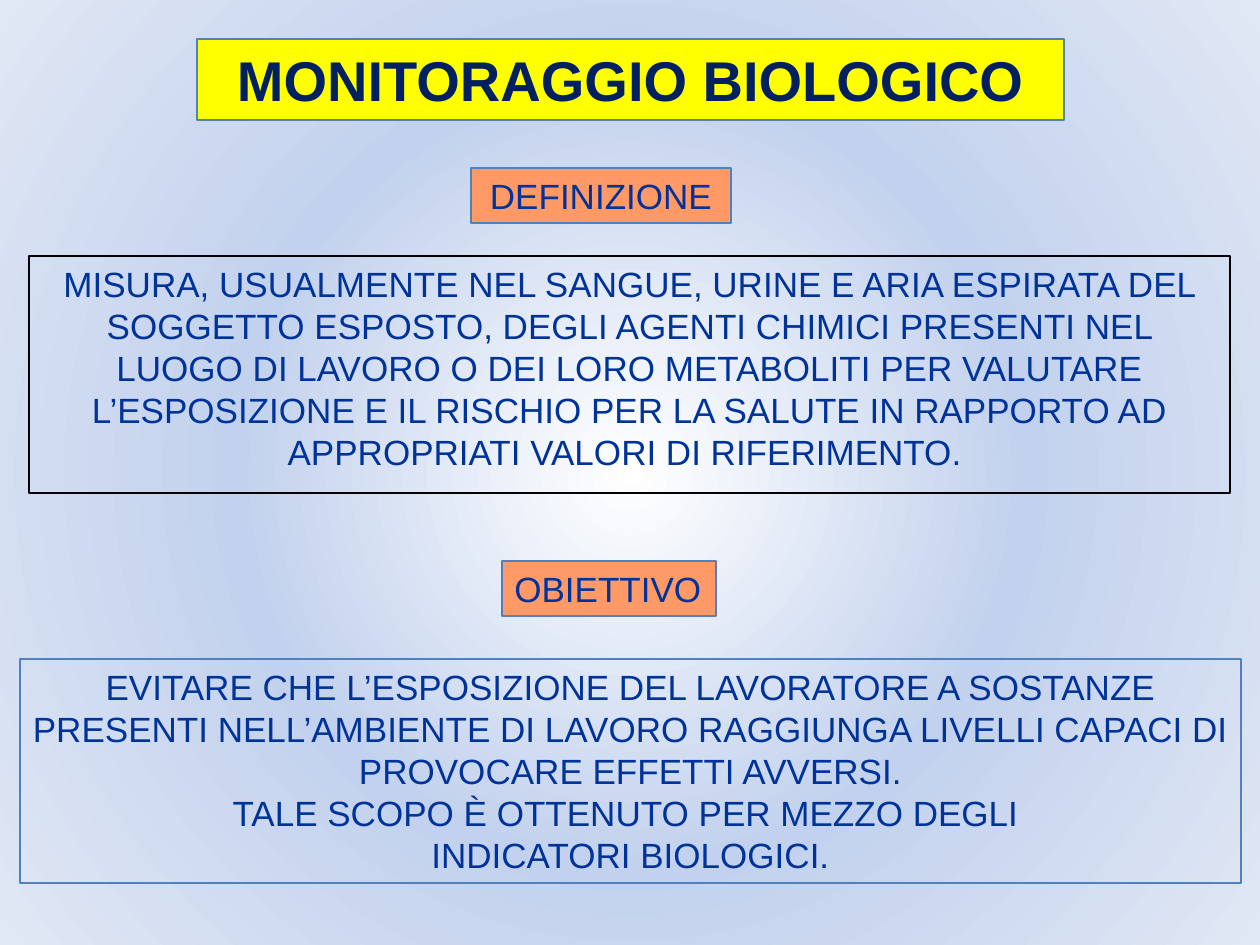
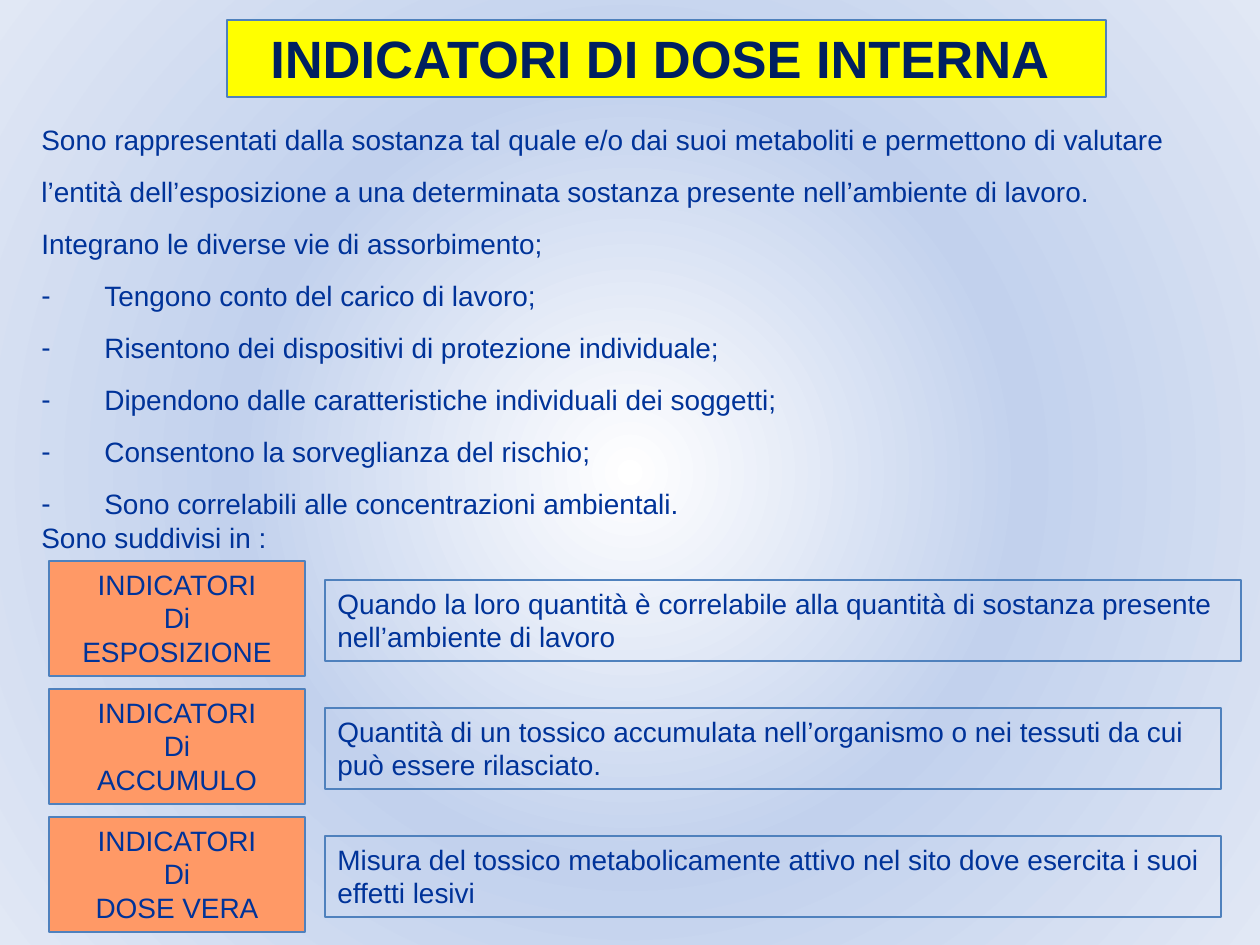
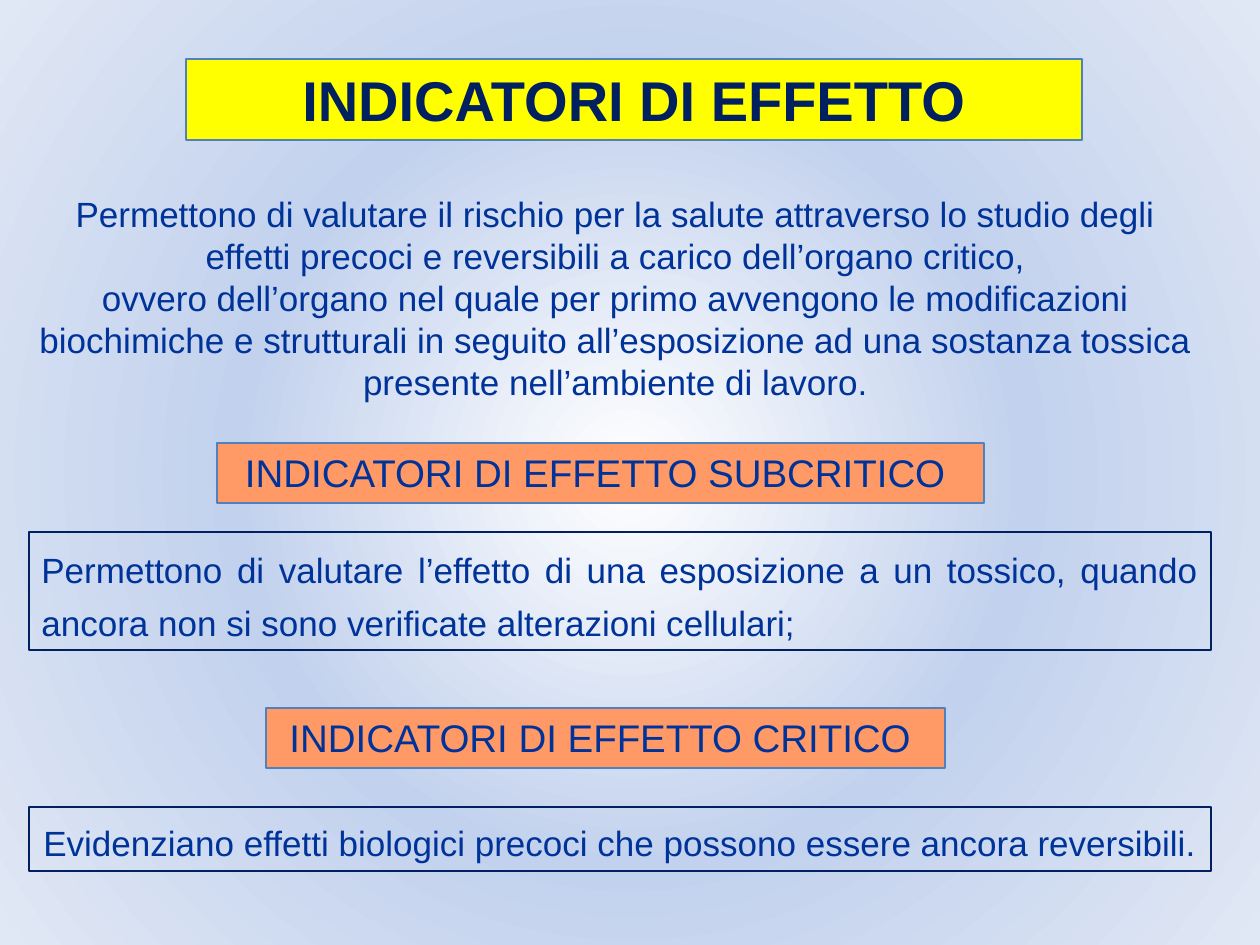
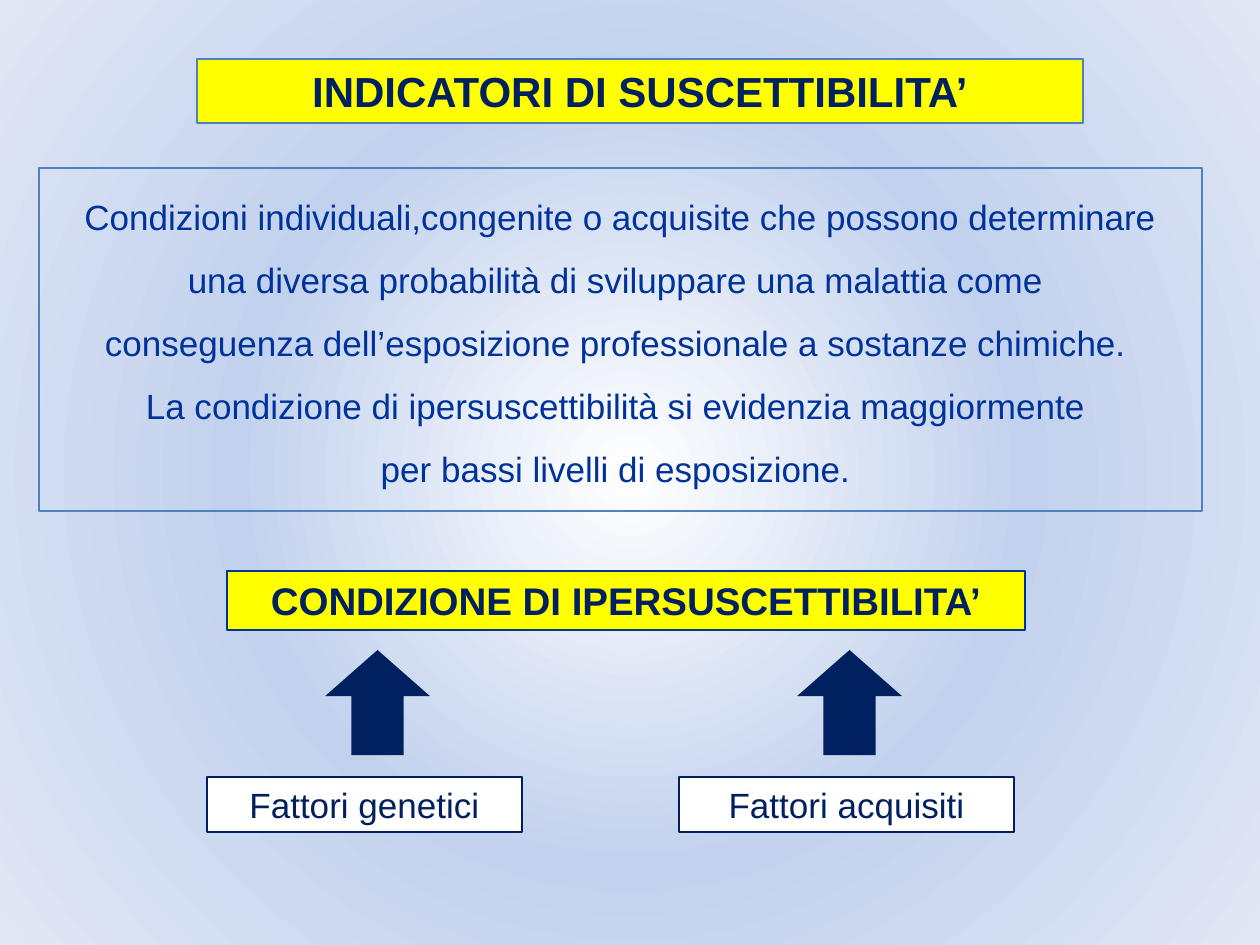
from collections import namedtuple

from pptx import Presentation
from pptx import util as u
from pptx.dml.color import RGBColor
from pptx.enum import shapes, text
from pptx.oxml import parse_xml
from pptx.oxml.ns import nsdecls

PX = 914400 / 126
SLIDE_WIDTH, SLIDE_HEIGHT = 1260, 945

FONT = "Arial"
YELLOW = RGBColor(0xFF, 0xFF, 0x00)
ORANGE = RGBColor(0xFF, 0x99, 0x66)
WHITE = RGBColor(0xFF, 0xFF, 0xFF)
BLACK = RGBColor(0x00, 0x00, 0x00)
NAVY = RGBColor(0x00, 0x20, 0x60)
BLUE = RGBColor(0x00, 0x33, 0x99)
STEEL = RGBColor(0x4F, 0x81, 0xBD)

LEFT, CENTER, JUSTIFY = text.PP_ALIGN.LEFT, text.PP_ALIGN.CENTER, text.PP_ALIGN.JUSTIFY

BACKGROUND = f"""
<a:gradFill {nsdecls("a")} rotWithShape="1">
  <a:gsLst>
    <a:gs pos="0"><a:srgbClr val="FFFFFF"><a:alpha val="35000"/></a:srgbClr></a:gs>
    <a:gs pos="50000"><a:srgbClr val="C2D1ED"/></a:gs>
    <a:gs pos="100000"><a:srgbClr val="E1E8F5"/></a:gs>
  </a:gsLst>
  <a:path path="circle"><a:fillToRect l="50000" t="50000" r="50000" b="50000"/></a:path>
</a:gradFill>"""

Box = namedtuple("Box", "left top width height")


def emu(pixels):
    return u.Emu(round(pixels * PX))


def inside(box, left, top, width, height):
    """Box at an offset from the corner of another box."""
    return Box(box.left + left, box.top + top, width, height)


def paint_background(presentation):
    master = presentation.slide_master
    master.background.fill.solid()
    properties = master.element.xpath(".//p:bgPr")[0]
    properties.replace(properties[0], parse_xml(BACKGROUND))


def add_bullet(paragraph, character, size):
    """Hang the paragraph on a bullet of the same font and size as its text."""
    properties = paragraph._p.get_or_add_pPr()
    indent = u.Inches(0.5)
    properties.set("marL", str(indent))
    properties.set("indent", str(-indent))
    properties.append(parse_xml(f'<a:buFont {nsdecls("a")} typeface="{FONT}"/>'))
    properties.append(parse_xml(f'<a:buChar {nsdecls("a")} char="{character}"/>'))
    paragraph._p.append(parse_xml(f'<a:endParaRPr {nsdecls("a")} sz="{size * 100}"/>'))


def write(frame, lines, size=20, color=BLUE, bold=False, align=CENTER, spacing=None,
          wrap=True, grow=True):
    """Fill a text frame, one paragraph for each line."""
    frame.word_wrap = wrap
    frame.auto_size = (text.MSO_AUTO_SIZE.SHAPE_TO_FIT_TEXT if grow
                       else text.MSO_AUTO_SIZE.NONE)
    frame.vertical_anchor = text.MSO_ANCHOR.TOP
    for index, line in enumerate(lines):
        paragraph = frame.add_paragraph() if index else frame.paragraphs[0]
        paragraph.alignment = align
        if spacing:
            paragraph.line_spacing = spacing
        run = paragraph.add_run()
        run.text = line
        run.font.name = FONT
        run.font.size = u.Pt(size)
        run.font.bold = bold
        run.font.color.rgb = color


def add_preset(slide, kind, box, fill=None, line=None):
    shape = slide.shapes.add_shape(kind, *map(emu, box))
    shape.shadow.inherit = False
    if fill is None:
        shape.fill.background()
    else:
        shape.fill.solid()
        shape.fill.fore_color.rgb = fill
    if line is None:
        shape.line.fill.background()
    else:
        shape.line.color.rgb = line
        shape.line.width = u.Pt(0.75)
    return shape


def add_panel(slide, box, lines, fill=None, line=STEEL, **text_format):
    shape = add_preset(slide, shapes.MSO_SHAPE.RECTANGLE, box, fill, line)
    write(shape.text_frame, lines, **text_format)


def add_plain_text(slide, box, lines, **text_format):
    frame = slide.shapes.add_textbox(*map(emu, box)).text_frame
    write(frame, lines, **text_format)
    return frame


def add_title(slide, box, title, size=32, line=STEEL):
    add_panel(slide, box, [title], YELLOW, line, size=size, color=NAVY, bold=True)


def add_section(slide, box, heading, heading_box, heading_format, body_top, lines, **body_format):
    """Orange heading above an outlined body that reaches the foot of the box."""
    body = inside(box, 0, body_top, box.width, box.height - body_top)
    add_panel(slide, body, lines, **body_format)
    add_panel(slide, inside(box, *heading_box), [heading], ORANGE, **heading_format)


def add_indicator_row(slide, box, kind, description):
    label_width, gap, inset = 256, 20, 19
    add_panel(slide, inside(box, 0, 0, label_width, box.height),
              ["INDICATORI", "Di", kind], ORANGE, size=16)
    description_left = label_width + gap
    add_panel(slide, inside(box, description_left, inset, box.width - description_left, 81),
              [description], size=16, align=LEFT)


def add_factor(slide, box, label):
    """Labelled cause with an arrow rising from it."""
    arrow = add_preset(slide, shapes.MSO_SHAPE.UP_ARROW, inside(box, 118, 0, 105, 105), NAVY)
    arrow.adjustments[0], arrow.adjustments[1] = 0.5, 0.44
    label_top = 127
    add_panel(slide, inside(box, 0, label_top, box.width, box.height - label_top),
              [label], WHITE, NAVY, color=NAVY)


def build_monitoring(slide):
    add_title(slide, Box(197, 39, 867, 81), "MONITORAGGIO BIOLOGICO")
    add_section(
        slide, Box(29, 168, 1201, 325), "DEFINIZIONE", (442, 0, 260, 55), {}, 88,
        ["MISURA, USUALMENTE NEL SANGUE, URINE E ARIA ESPIRATA DEL SOGGETTO ESPOSTO, "
         "DEGLI AGENTI CHIMICI PRESENTI NEL LUOGO DI LAVORO O DEI LORO METABOLITI PER "
         "VALUTARE L’ESPOSIZIONE E IL RISCHIO PER LA SALUTE IN RAPPORTO AD APPROPRIATI "
         "VALORI DI RIFERIMENTO. "],
        line=BLACK, grow=False)
    add_section(
        slide, Box(20, 561, 1221, 322), "OBIETTIVO", (482, 0, 214, 55),
        {"align": LEFT, "wrap": False}, 98,
        ["EVITARE CHE L’ESPOSIZIONE DEL LAVORATORE A SOSTANZE PRESENTI NELL’AMBIENTE DI "
         "LAVORO RAGGIUNGA LIVELLI CAPACI DI PROVOCARE EFFETTI AVVERSI.",
         "TALE SCOPO È OTTENUTO PER MEZZO DEGLI ",
         "INDICATORI BIOLOGICI."])


def build_internal_dose(slide):
    add_title(slide, Box(227, 20, 879, 77), "INDICATORI DI DOSE INTERNA ", size=30)
    text_size = 16
    introduction = add_plain_text(
        slide, Box(29, 98, 1191, 467),
        ["Sono rappresentati dalla sostanza tal quale e/o dai suoi metaboliti e permettono di "
         "valutare l’entità dell’esposizione a una determinata sostanza presente "
         "nell’ambiente di lavoro. Integrano le diverse vie di assorbimento;",
         "Tengono conto del carico di lavoro;",
         "Risentono dei dispositivi di protezione individuale;",
         "Dipendono dalle caratteristiche individuali dei soggetti;",
         "Consentono la sorveglianza del rischio;",
         "Sono correlabili alle concentrazioni ambientali.",
         "Sono suddivisi in :"],
        size=text_size, align=LEFT, spacing=1.55)
    for paragraph in introduction.paragraphs[1:-1]:
        add_bullet(paragraph, "-", text_size)
    introduction.paragraphs[-1].line_spacing = 1.0

    rows = [
        ("ESPOSIZIONE", 1192, "Quando la loro quantità è correlabile alla quantità di sostanza "
                              "presente nell’ambiente di lavoro"),
        ("ACCUMULO", 1172, "Quantità di un tossico accumulata nell’organismo o nei tessuti "
                           "da cui può essere rilasciato."),
        ("DOSE VERA", 1172, "Misura del tossico metabolicamente attivo nel sito dove esercita "
                            "i suoi effetti lesivi"),
    ]
    for index, (kind, width, description) in enumerate(rows):
        add_indicator_row(slide, Box(49, 561 + 128 * index, width, 115), kind, description)


def build_effect(slide):
    add_title(slide, Box(186, 59, 896, 81), "INDICATORI DI EFFETTO")
    add_section(
        slide, Box(29, 443, 1182, 207), "INDICATORI DI EFFETTO SUBCRITICO ",
        (188, 0, 767, 60), {"size": 22}, 89,
        ["Permettono di valutare l’effetto di una esposizione a un tossico, quando ancora "
         "non si sono verificate alterazioni cellulari;"],
        line=NAVY, align=JUSTIFY, spacing=1.25)
    add_section(
        slide, Box(29, 708, 1182, 163), "INDICATORI DI EFFETTO CRITICO ",
        (237, 0, 679, 60), {"size": 22}, 99,
        ["Evidenziano effetti biologici precoci che possono essere ancora reversibili."],
        line=NAVY, spacing=1.2)
    add_plain_text(
        slide, Box(20, 186, 1191, 224),
        ["Permettono di valutare il rischio per la salute attraverso lo studio degli effetti "
         "precoci e reversibili a carico dell’organo critico,",
         "ovvero dell’organo nel quale per primo avvengono le modificazioni biochimiche e "
         "strutturali in seguito all’esposizione ad una sostanza tossica presente "
         "nell’ambiente di lavoro."])


def build_susceptibility(slide):
    add_title(slide, Box(197, 59, 886, 64), "INDICATORI DI SUSCETTIBILITA’", size=24)
    add_panel(
        slide, Box(39, 168, 1163, 343),
        ["Condizioni individuali,congenite o acquisite che possono determinare una diversa "
         "probabilità di sviluppare una malattia come ",
         "conseguenza dell’esposizione professionale a sostanze chimiche. ",
         "La condizione di ipersuscettibilità si evidenzia maggiormente ",
         "per bassi livelli di esposizione. "],
        spacing=1.5)
    add_title(slide, Box(227, 571, 798, 59), "CONDIZIONE DI IPERSUSCETTIBILITA’",
              size=22, line=BLUE)
    add_factor(slide, Box(207, 650, 315, 182), "Fattori genetici")
    add_factor(slide, Box(679, 650, 335, 182), "Fattori acquisiti")


def main():
    presentation = Presentation()
    presentation.slide_width = emu(SLIDE_WIDTH)
    presentation.slide_height = emu(SLIDE_HEIGHT)
    paint_background(presentation)
    blank = presentation.slide_layouts[6]
    for build in (build_monitoring, build_internal_dose, build_effect, build_susceptibility):
        build(presentation.slides.add_slide(blank))
    presentation.save("out.pptx")


if __name__ == "__main__":
    main()
